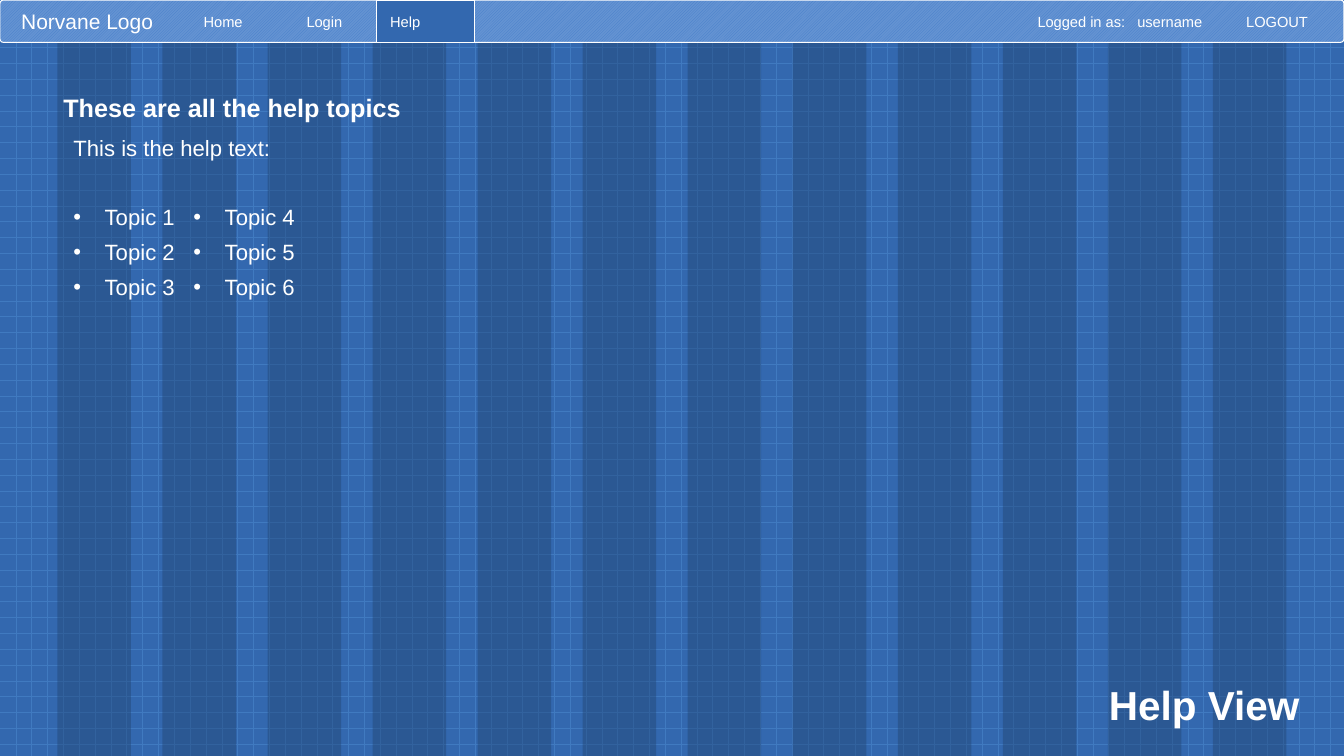
from lxml import etree
from pptx import Presentation
from pptx.dml.color import RGBColor
from pptx.enum.dml import MSO_PATTERN as Pattern
from pptx.enum.shapes import MSO_SHAPE as Shape
from pptx.enum.text import MSO_ANCHOR as Anchor, MSO_AUTO_SIZE as AutoSize, PP_ALIGN as Align
from pptx.oxml.ns import qn
from pptx.util import Inches, Pt

WHITE = RGBColor(0xFF, 0xFF, 0xFF)
BLUE = RGBColor(0x33, 0x68, 0xAF)
GRID_BLUE = RGBColor(0x40, 0x7A, 0xC0)
STRIPE_BLUE = RGBColor(0x1F, 0x40, 0x6B)
BAR_BLUE = RGBColor(0x64, 0x93, 0xD2)
BAR_HATCH = RGBColor(0x43, 0x7C, 0xC9)

SLIDE_W, SLIDE_H = 13.33, 7.5
FONT = "Arial"
TOPIC_SIZE = 15.8
TOPIC_INDENT = 0.31
MENU_FORMAT = dict(size=10.5, insets=(0.14, 0.12, 0.14, 0.12), anchor=Anchor.MIDDLE)


def write(shape, lines, size, bold=False, insets=(0.1, 0.05, 0.1, 0.05),
          anchor=Anchor.TOP, wrap=True, grow=True, after=0):
    """Fill a shape with one paragraph per line and return the paragraphs."""
    frame = shape.text_frame
    frame.word_wrap = wrap
    frame.auto_size = AutoSize.SHAPE_TO_FIT_TEXT if grow else AutoSize.NONE
    frame.vertical_anchor = anchor
    (frame.margin_left, frame.margin_top,
     frame.margin_right, frame.margin_bottom) = map(Inches, insets)
    paragraphs = [frame.paragraphs[0]] + [frame.add_paragraph() for _ in lines[1:]]
    for paragraph, line in zip(paragraphs, lines):
        paragraph.alignment = Align.LEFT
        paragraph.space_after = Pt(after)
        run = paragraph.add_run()
        run.text = line
        run.font.name, run.font.size, run.font.bold = FONT, Pt(size), bold
        run.font.color.rgb = WHITE
    return paragraphs


def add_text(slide, box, *lines, **text_format):
    return write(slide.shapes.add_textbox(*map(Inches, box)), lines, **text_format)


def add_box(slide, kind, box):
    shape = slide.shapes.add_shape(kind, *map(Inches, box))
    shape.shadow.inherit = False
    return shape


def set_pattern(fill, pattern, fore, back):
    fill.patterned()
    fill.pattern = pattern
    fill.fore_color.rgb, fill.back_color.rgb = fore, back


def set_outline(shape):
    shape.line.color.rgb = WHITE
    shape.line.width = Pt(0.75)


def set_bullet(paragraph):
    properties = paragraph._p.get_or_add_pPr()
    properties.set("marL", str(Inches(TOPIC_INDENT)))
    properties.set("indent", str(-Inches(TOPIC_INDENT)))
    etree.SubElement(properties, qn("a:buFont"), typeface=FONT)
    etree.SubElement(properties, qn("a:buChar"), char="•")


def set_tabs(paragraph, stops):
    tabs = etree.SubElement(paragraph._p.get_or_add_pPr(), qn("a:tabLst"))
    for stop in stops:
        etree.SubElement(tabs, qn("a:tab"), pos=str(Inches(stop)), algn="l")


def add_backdrop(slide, first=0.57, last=12.03, count=12, width=0.73):
    """Dotted grid with evenly spaced translucent stripes."""
    set_pattern(slide.background.fill, Pattern.DOTTED_GRID, GRID_BLUE, BLUE)
    pitch = (last - first) / (count - 1)
    for index in range(count):
        stripe = add_box(slide, Shape.RECTANGLE, (first + index * pitch, 0, width, SLIDE_H))
        stripe.fill.solid()
        stripe.fill.fore_color.rgb = STRIPE_BLUE
        stripe.line.fill.background()
        color = stripe.fill._xPr.find(".//" + qn("a:srgbClr"))
        etree.SubElement(color, qn("a:alpha"), val="40000")


def add_menu_bar(slide, left, top, width, height):
    bar = add_box(slide, Shape.ROUNDED_RECTANGLE, (left, top, width, height))
    bar.adjustments[0] = 0.08
    set_pattern(bar.fill, Pattern.LIGHT_UPWARD_DIAGONAL, BAR_HATCH, BAR_BLUE)
    set_outline(bar)
    write(bar, ["Norvane Logo"], size=15, insets=(0.2, 0.05, 0.1, 0.05),
          anchor=Anchor.MIDDLE, grow=False)

    active_tab = add_box(slide, Shape.RECTANGLE, (left + 3.73, top, 0.98, height))
    active_tab.fill.solid()
    active_tab.fill.fore_color.rgb = BLUE
    set_outline(active_tab)
    write(active_tab, ["Help"], **MENU_FORMAT)

    for label, offset, label_width in (("Home", 1.88, 0.68), ("Login", 2.9, 0.65)):
        add_text(slide, (left + offset, top, label_width, height), label,
                 wrap=False, **MENU_FORMAT)

    account_width = 3.18
    account = add_text(slide, (left + width - account_width, top, account_width, height),
                       "Logged in as:\tusername\tLOGOUT", **MENU_FORMAT)
    set_tabs(account[0], (0.99, 2.07))


def add_help_topics(slide, left, top):
    add_text(slide, (left, top, 3.58, 0.4), "These are all the help topics",
             size=18, bold=True, wrap=False)
    intro, *first_topics = add_text(
        slide, (left + 0.1, top + 0.41, 5.9, 1.76),
        "This is the help text:", "Topic 1", "Topic 2", "Topic 3",
        size=TOPIC_SIZE, after=6)
    intro.space_after = Pt(31)
    more_topics = add_text(slide, (left + 1.29, top + 1.1, 3.55, 1.07),
                           "Topic 4", "Topic 5", "Topic 6", size=TOPIC_SIZE, after=6)
    for topic in first_topics + more_topics:
        set_bullet(topic)


def main():
    deck = Presentation()
    deck.slide_width, deck.slide_height = Inches(SLIDE_W), Inches(SLIDE_H)
    slide = deck.slides.add_slide(deck.slide_layouts[6])
    add_backdrop(slide)
    add_menu_bar(slide, 0, 0, SLIDE_W, 0.42)
    add_help_topics(slide, 0.53, 0.87)
    add_text(slide, (10.9, 6.7, 2.3, 0.59), "Help View", size=28.9, bold=True)
    deck.save("out.pptx")


if __name__ == "__main__":
    main()
